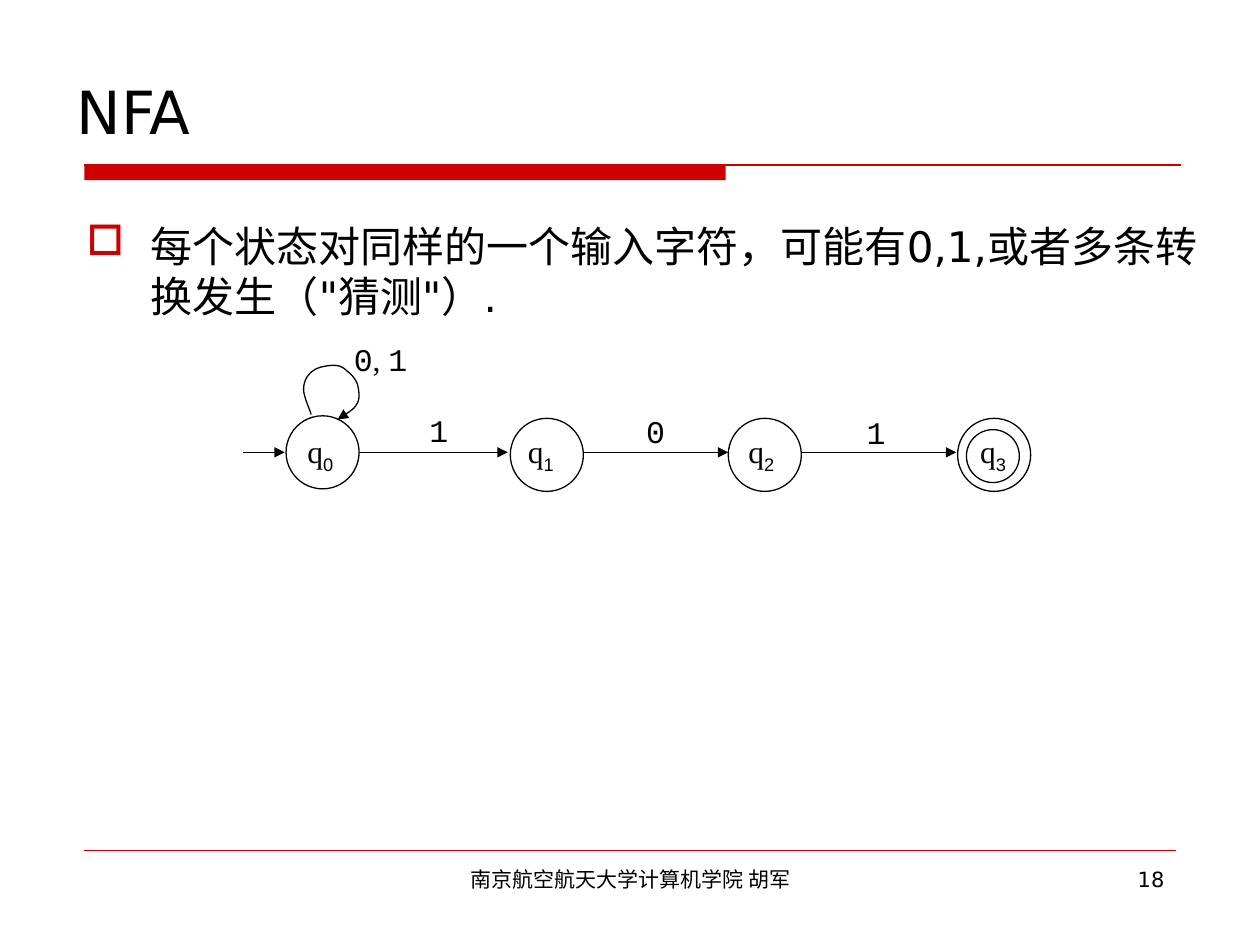
from lxml import etree
from pptx import Presentation
from pptx.dml.color import RGBColor
from pptx.enum.shapes import MSO_CONNECTOR, MSO_SHAPE
from pptx.enum.text import MSO_ANCHOR, MSO_AUTO_SIZE, PP_ALIGN
from pptx.oxml.ns import qn
from pptx.util import Inches, Pt

BLACK = RGBColor(0x00, 0x00, 0x00)
WHITE = RGBColor(0xFF, 0xFF, 0xFF)
RED = RGBColor(0xCC, 0x00, 0x00)

STRAIGHT = MSO_CONNECTOR.STRAIGHT
OVAL = MSO_SHAPE.OVAL
RECTANGLE = MSO_SHAPE.RECTANGLE
LEFT, CENTER, RIGHT = PP_ALIGN.LEFT, PP_ALIGN.CENTER, PP_ALIGN.RIGHT
TOP, MIDDLE = MSO_ANCHOR.TOP, MSO_ANCHOR.MIDDLE
FIT_SHAPE = MSO_AUTO_SIZE.SHAPE_TO_FIT_TEXT

SANS, MONO, SERIF, SUBSCRIPT_FONT = "DejaVu Sans", "Courier New", "Times New Roman", "Arial"


def bezier_points(start, curves, steps=10):
    """Points along a chain of cubic curves."""
    points = [start]
    for first, second, end in curves:
        for step in range(1, steps + 1):
            t = step / steps
            u = 1 - t
            points.append(tuple(
                u**3 * a + 3 * u**2 * t * b + 3 * u * t**2 * c + t**3 * d
                for a, b, c, d in zip(start, first, second, end)))
        start = end
    return points


class SlideBuilder:
    def __init__(self, slide):
        self.slide = slide
        self.line_width = 0.75

    def add_arrowhead(self, shape):
        line = shape.line._get_or_add_ln()
        etree.SubElement(line, qn("a:tailEnd"), type="triangle")

    def line(self, start, end, color=BLACK, width=None, arrow=False):
        connector = self.slide.shapes.add_connector(
            STRAIGHT, *(Inches(value) for value in (*start, *end)))
        connector.line.color.rgb = color
        connector.line.width = Pt(width or self.line_width)
        if arrow:
            self.add_arrowhead(connector)
        etree.SubElement(connector._element.spPr, qn("a:effectLst"))

    def shape(self, kind, left, top, width, height, fill=None, line=None):
        shape = self.slide.shapes.add_shape(
            kind, Inches(left), Inches(top), Inches(width), Inches(height))
        shape.shadow.inherit = False
        if fill is None:
            shape.fill.background()
        else:
            shape.fill.solid()
            shape.fill.fore_color.rgb = fill
        if line is None:
            shape.line.fill.background()
        else:
            shape.line.color.rgb = line
            shape.line.width = Pt(self.line_width)

    def curve(self, start, curves):
        points = [(Inches(x), Inches(y)) for x, y in bezier_points(start, curves)]
        builder = self.slide.shapes.build_freeform(*points[0])
        builder.add_line_segments(points[1:], close=False)
        shape = builder.convert_to_shape()
        shape.shadow.inherit = False
        shape.fill.background()
        shape.line.color.rgb = BLACK
        shape.line.width = Pt(self.line_width)
        self.add_arrowhead(shape)

    def text(self, runs, left, top, width, height, size=18, align=LEFT,
             anchor=TOP, wrap=True, bullet=None, indent=0.51):
        """Runs are (text, font name, is subscript) tuples."""
        box = self.slide.shapes.add_textbox(
            Inches(left), Inches(top), Inches(width), Inches(height))
        frame = box.text_frame
        frame.word_wrap = wrap
        frame.vertical_anchor = anchor
        if not wrap:
            frame.auto_size = FIT_SHAPE
        paragraph = frame.paragraphs[0]
        paragraph.alignment = align
        if bullet:
            properties = paragraph._p.get_or_add_pPr()
            properties.set("marL", str(Inches(indent)))
            properties.set("indent", str(-Inches(indent)))
            color = etree.SubElement(properties, qn("a:buClr"))
            etree.SubElement(color, qn("a:srgbClr"), val=str(RED))
            etree.SubElement(properties, qn("a:buChar"), char=bullet)
        for content, font, subscript in runs:
            run = paragraph.add_run()
            run.text = content
            run.font.name = font
            run.font.size = Pt(size)
            run.font.color.rgb = BLACK
            if subscript:
                run.font._element.set("baseline", "-25000")

    def label(self, runs, left, top, width, height=0.4):
        self.text(runs, left, top, width, height, wrap=False)


def main():
    presentation = Presentation()
    presentation.slide_width = Inches(10)
    presentation.slide_height = Inches(7.5)
    slide = presentation.slides.add_slide(presentation.slide_layouts[6])
    builder = SlideBuilder(slide)

    # Title rule and footer rule
    builder.shape(RECTANGLE, 0.67, 1.31, 5.09, 0.12, fill=RED)
    builder.line((0.67, 1.31), (9.37, 1.31), color=RED)
    builder.line((0.67, 6.75), (9.33, 6.75), color=RED, width=0.25)

    # Title, body and footer
    builder.text([("NFA", SANS, False)], 0.51, 0.52, 9.14, 0.72, size=34, anchor=MIDDLE)
    body = "每个状态对同样的一个输入字符，可能有0,1,或者多条转换发生（\"猜测\"）."
    builder.text([(body, SANS, False)], 0.59, 1.7, 9.14, 5.2, size=24, bullet="□")
    builder.text([("南京航空航天大学计算机学院 胡军", SANS, False)],
                 3.42, 6.83, 3.17, 0.52, size=12, align=CENTER)
    builder.text([("18", SANS, False)], 7.17, 6.83, 2.17, 0.52, size=12, align=RIGHT)

    # Transitions between states
    arrow_y = 3.59
    for start, end in ((1.93, 2.26), (2.85, 4.03), (4.6, 5.78), (6.34, 7.59)):
        builder.line((start, arrow_y), (end, arrow_y), arrow=True)
    for symbol, left, top in (("1", 3.31, 3.21), ("0", 5.03, 3.22), ("1", 6.78, 3.23)):
        builder.label([(symbol, MONO, False)], left, top, 0.35)

    # States: circle left and top, label left
    states = ((2.27, 3.3, 2.34), (4.05, 3.32, 4.09), (5.78, 3.32, 5.84), (7.6, 3.32, 7.68))
    for left, top, _ in states:
        builder.shape(OVAL, left, top, 0.58, 0.58, fill=WHITE, line=BLACK)
    builder.shape(OVAL, 7.67, 3.41, 0.42, 0.42, line=BLACK)
    for number, (_, _, label_left) in enumerate(states):
        builder.label([("q", SERIF, False), (str(number), SUBSCRIPT_FONT, True)],
                      label_left, 3.38, 0.42, 0.44)

    # Self-loop on the start state
    builder.curve((2.47, 3.29), [
        ((2.46, 3.25), (2.41, 3.15), (2.41, 3.09)),
        ((2.41, 3.03), (2.44, 2.97), (2.49, 2.94)),
        ((2.53, 2.91), (2.61, 2.9), (2.65, 2.9)),
        ((2.7, 2.9), (2.73, 2.92), (2.76, 2.95)),
        ((2.8, 2.98), (2.83, 3.02), (2.84, 3.06)),
        ((2.85, 3.11), (2.86, 3.17), (2.83, 3.21)),
        ((2.81, 3.26), (2.71, 3.3), (2.68, 3.33)),
    ])
    builder.label([("0", MONO, False), (", ", SERIF, False), ("1", MONO, False)],
                  2.71, 2.65, 0.63)

    presentation.save("out.pptx")


if __name__ == "__main__":
    main()
